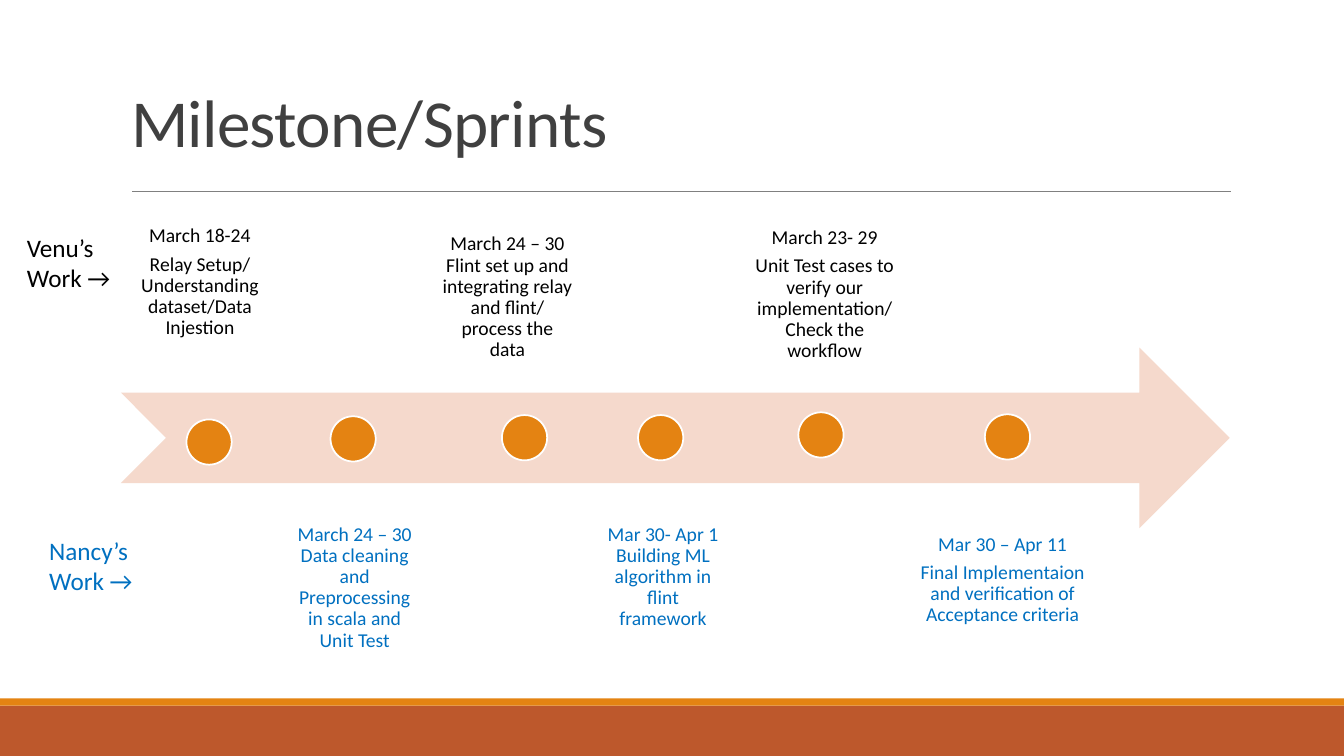
from dataclasses import dataclass

from lxml import etree
from pptx import Presentation
from pptx import util as u
from pptx.dml.color import RGBColor
from pptx.enum import shapes, text
from pptx.oxml.ns import qn


@dataclass(frozen=True)
class Theme:
    font: str = "Calibri"
    title_size: int = 48
    label_size: int = 18
    step_size: int = 14
    title: str = "404040"
    rule: str = "808080"
    venu: str = "000000"
    nancy: str = "0070C0"
    arrow: str = "F5D9CC"
    accent: str = "E48312"
    footer: str = "BD582C"
    outline: str = "FFFFFF"


theme = Theme()


def write(box, words, *, size, color, align=text.PP_ALIGN.LEFT,
          anchor=text.MSO_ANCHOR.TOP, inset=None, leading=1.0, after=0, tracking=None):
    frame = box.text_frame
    frame.word_wrap = True
    frame.auto_size = text.MSO_AUTO_SIZE.NONE
    frame.vertical_anchor = anchor
    if inset is not None:
        frame.margin_left = frame.margin_right = u.Cm(inset)
        frame.margin_top = frame.margin_bottom = u.Cm(inset)
    for index, line in enumerate(words.split("\n")):
        para = frame.add_paragraph() if index else frame.paragraphs[0]
        para.alignment = align
        para.line_spacing = leading
        para.space_before, para.space_after = u.Pt(0), u.Pt(after)
        span = para.add_run()
        span.text = line
        span.font.name, span.font.size = theme.font, u.Pt(size)
        span.font.color.rgb = RGBColor.from_string(color)
        if tracking is not None:
            span._r.get_or_add_rPr().set("spc", str(int(tracking * 100)))


def draw(kind, left, top, width, height, fill, outline=None):
    shape = page.shapes.add_shape(kind, u.Cm(left), u.Cm(top), u.Cm(width), u.Cm(height))
    shape.shadow.inherit = False
    shape.fill.solid()
    shape.fill.fore_color.rgb = RGBColor.from_string(fill)
    if outline:
        shape.line.color.rgb = RGBColor.from_string(outline)
        shape.line.width = u.Pt(1.25)
    else:
        shape.line.fill.background()


deck = Presentation()
deck.slide_width, deck.slide_height = u.Cm(33.87), u.Cm(19.05)
page = deck.slides.add_slide(deck.slide_layouts[5])

# Footer bands
draw(shapes.MSO_SHAPE.RECTANGLE, 0, 17.78, 33.87, 1.27, theme.footer)
draw(shapes.MSO_SHAPE.RECTANGLE, 0, 17.6, 33.87, 0.18, theme.accent)

# Title and the rule below it
title = page.shapes.title
title.left, title.top, title.width, title.height = u.Cm(3.05), u.Cm(0.79), u.Cm(27.18), u.Cm(3.4)
write(title, "Milestone/Sprints", size=theme.title_size, color=theme.title,
      anchor=text.MSO_ANCHOR.BOTTOM, leading=0.85, tracking=-0.5)
rule = page.shapes.add_connector(shapes.MSO_CONNECTOR.STRAIGHT,
                                 u.Cm(3.33), u.Cm(4.83), u.Cm(31.01), u.Cm(4.83))
rule.line.color.rgb = RGBColor.from_string(theme.rule)
rule.line.width = u.Pt(0.5)
etree.SubElement(rule._element.spPr, qn("a:effectLst"))

# Timeline arrow
draw(shapes.MSO_SHAPE.NOTCHED_RIGHT_ARROW, 3.05, 8.76, 27.94, 4.55, theme.arrow)

# Milestones: owner colour, text box (left, top, width, height), dot (left, top), wording
milestones = [
    (theme.venu, (3.07, 5.72, 3.94, 3.1), (4.7, 10.57),
     "March 18-24\nRelay Setup/ Understanding dataset/Data Injestion"),
    (theme.nancy, (7.11, 12.93, 3.66, 3.53), (8.33, 10.49),
     "March 24 – 30 Data cleaning and Preprocessing in scala and Unit Test"),
    (theme.venu, (10.87, 5.54, 3.84, 3.84), (12.65, 10.46),
     "March 24 – 30 Flint set up and integrating relay and flint/ process the data"),
    (theme.nancy, (14.88, 12.93, 3.66, 2.54), (16.08, 10.46),
     "Mar 30- Apr 1 Building ML algorithm in flint framework"),
    (theme.venu, (18.69, 6.3, 4.19, 3.1), (20.12, 10.39),
     "March 23- 29\nUnit Test cases to verify our implementation/ Check the workflow"),
    (theme.nancy, (22.63, 13.18, 5.28, 2.59), (24.82, 10.44),
     "Mar 30 – Apr 11\nFinal Implementaion and verification of Acceptance criteria"),
]
for color, area, dot, words in milestones:
    above = color == theme.venu
    box = page.shapes.add_textbox(*map(u.Cm, area))
    write(box, words, size=theme.step_size, color=color, align=text.PP_ALIGN.CENTER,
          anchor=text.MSO_ANCHOR.BOTTOM if above else text.MSO_ANCHOR.TOP,
          inset=0.28, leading=0.9, after=4.9)
    draw(shapes.MSO_SHAPE.OVAL, *dot, 1.14, 1.14, theme.accent, theme.outline)

# Owner labels
for words, color, area in [
    ("Nancy’s Work →", theme.nancy, (0.99, 13.36, 3.86, 1.8)),
    ("Venu’s Work →", theme.venu, (0.43, 5.72, 2.92, 1.8)),
]:
    label = page.shapes.add_textbox(*map(u.Cm, area))
    write(label, words, size=theme.label_size, color=color)

deck.save("out.pptx")
